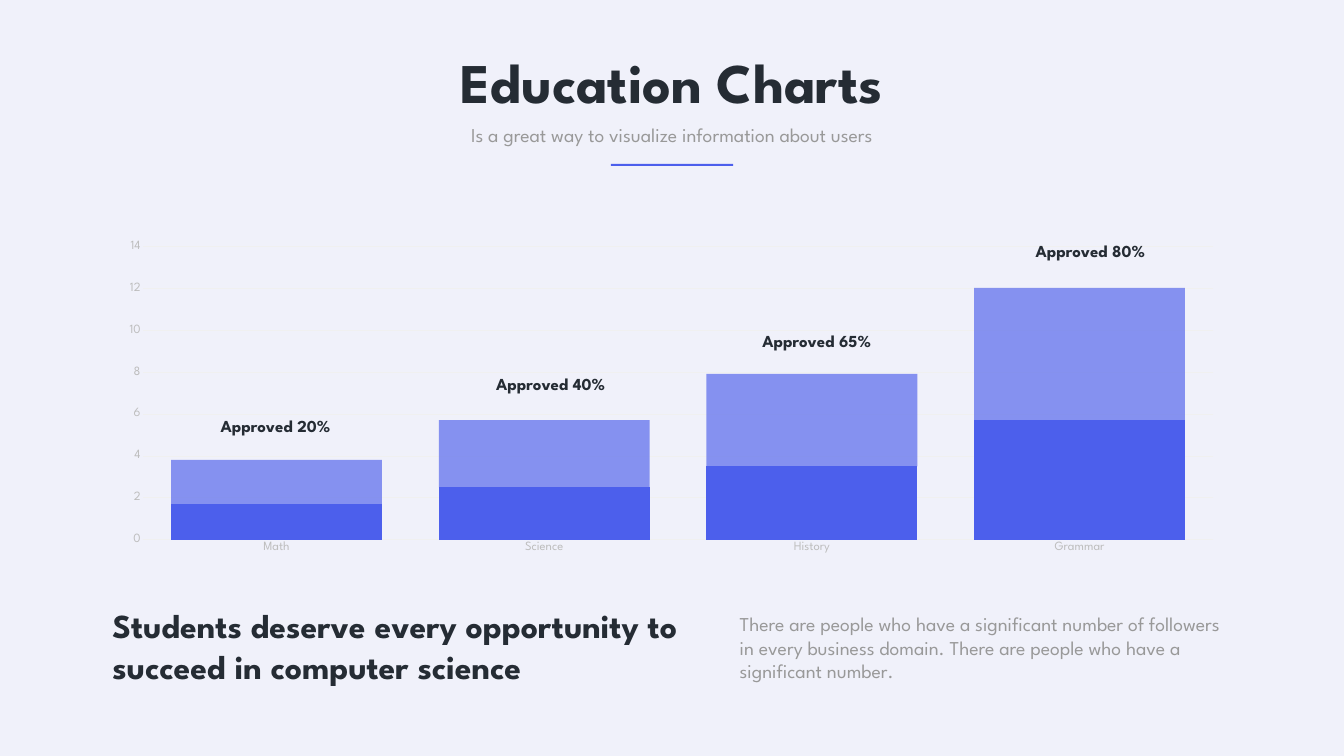
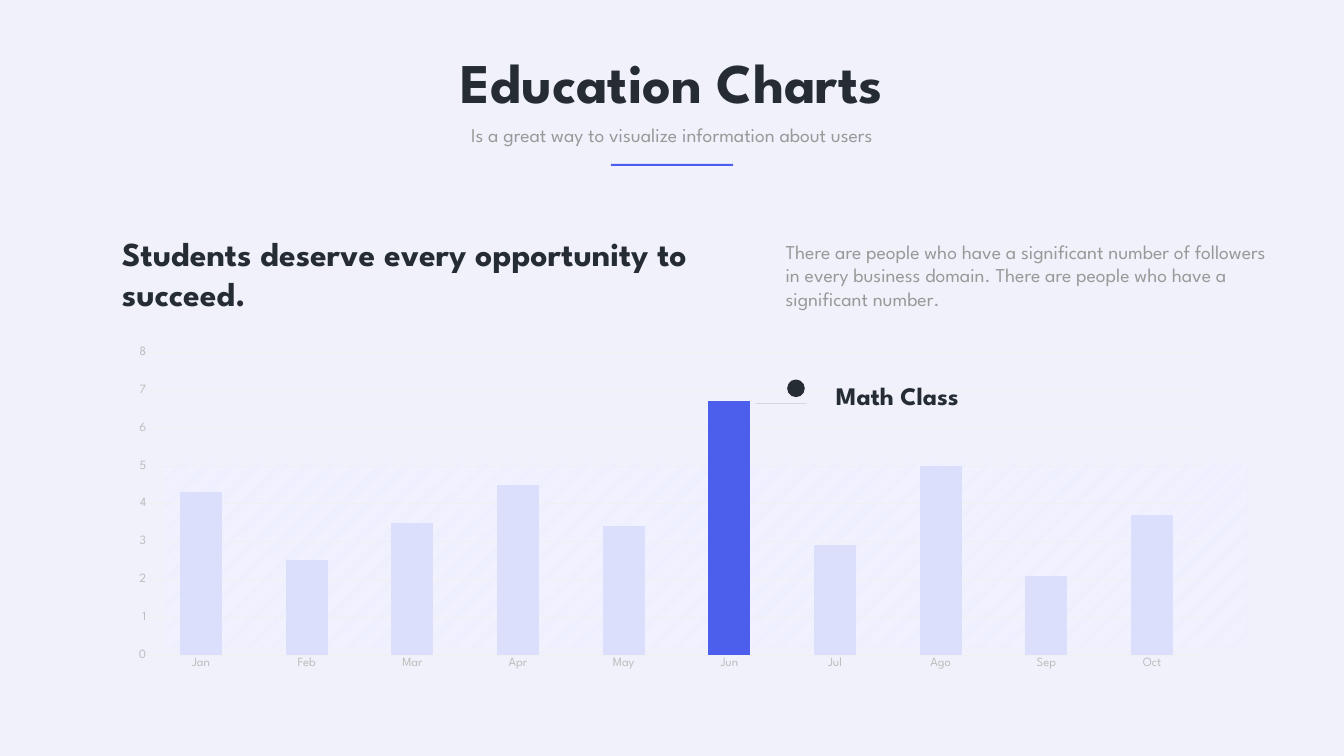
"""Build two education chart slides."""
from lxml import etree
from pptx import Presentation
from pptx import util as u
from pptx.chart import data
from pptx.dml.color import RGBColor
from pptx.enum import chart as kinds, dml, shapes, text
from pptx.oxml import ns

FONT = "League Spartan"
BACK, INK, GREY, PALE = "F0F1FA", "252C34", "999999", "BDBDBD"
BLUE, LIGHT, GRID, STRIPE = "4C5FEC", "DBDFFB", "F0F0F0", "F3F4FF"
BODY = ("There are people who have a significant number of followers in every "
        "business domain. There are people who have a significant number.")


def tint(value):
    return RGBColor.from_string(value)


def curve(a, b, c, d, steps=12):
    for i in range(1, steps + 1):
        t = i / steps
        s = 1 - t
        yield tuple(s**3 * p + 3 * s * s * t * q + 3 * s * t * t * r + t**3 * e
                    for p, q, r, e in zip(a, b, c, d))


class Deck:
    """Hold the shared style and the current slide."""

    def __init__(self):
        self.prs = Presentation()
        self.prs.slide_width = u.Inches(26.67)
        self.prs.slide_height = u.Inches(15)

    def start(self):
        self.slide = self.prs.slides.add_slide(self.prs.slide_layouts[6])
        fill = self.slide.background.fill
        fill.solid()
        fill.fore_color.rgb = tint(BACK)

    def head(self):
        self.label("Education Charts", (6.88, 0.9, 12.91, 1.45), 80, bold=True, mid=True)
        self.label("Is a great way to visualize information about users",
                   (8.55, 2.38, 9.56, 0.57), 28, GREY, mid=True)
        self.shape((12.12, 3.25, 2.43, 0.04), BLUE)

    def label(self, words, at, size, color=INK, bold=False, mid=False):
        frame = self.slide.shapes.add_textbox(*map(u.Inches, at)).text_frame
        frame.word_wrap = True
        para = frame.paragraphs[0]
        para.alignment = text.PP_ALIGN.CENTER if mid else text.PP_ALIGN.LEFT
        run = para.add_run()
        run.text = words
        self.style(run.font, size, color, bold)

    def style(self, font, size, color, bold=False):
        font.name, font.size, font.bold = FONT, u.Pt(size), bold
        font.color.rgb = tint(color)

    def paint(self, item, color):
        item.shadow.inherit = False
        item.fill.solid()
        item.fill.fore_color.rgb = tint(color)
        item.line.fill.background()

    def shape(self, at, color, kind=shapes.MSO_SHAPE.RECTANGLE):
        item = self.slide.shapes.add_shape(kind, *map(u.Inches, at))
        self.paint(item, color)
        return item

    def hatch(self, at):
        fill = self.shape(at, STRIPE).fill
        fill.patterned()
        fill.pattern = dml.MSO_PATTERN.WIDE_UPWARD_DIAGONAL
        fill.fore_color.rgb = tint(LIGHT)
        fill.back_color.rgb = tint(STRIPE)

    def person(self, x, y):
        self.shape((x + 0.13, y, 0.35, 0.35), INK, shapes.MSO_SHAPE.OVAL)
        left, right, low = x, x + 0.6, y + 0.7
        top, edge = y + 0.47, y + 0.56
        points = [(right, low), (right, edge)]
        points += curve((right, edge), (right, y + 0.52), (right - 0.02, y + 0.49),
                        (right - 0.05, top))
        points += curve((right - 0.05, top), (right - 0.2, y + 0.38),
                        (left + 0.2, y + 0.38), (left + 0.05, top))
        points += curve((left + 0.05, top), (left + 0.02, y + 0.49),
                        (left, y + 0.52), (left, edge))
        draw = self.slide.shapes.build_freeform(left, low, scale=u.Inches(1))
        draw.add_line_segments(points)
        self.paint(draw.convert_to_shape(), INK)

    def chart(self, at, plot, names, rows, gap, top, step):
        feed = data.CategoryChartData()
        feed.categories = names
        for i, (vals, _, _) in enumerate(rows, 1):
            feed.add_series(f"Series {i}", vals)
        chart = self.slide.shapes.add_chart(
            kinds.XL_CHART_TYPE.COLUMN_STACKED, *map(u.Inches, at), feed).chart
        chart.has_legend = chart.has_title = False
        self.style(chart.font, 18, GREY)
        bars = chart.plots[0]
        bars.gap_width, bars.overlap, bars.vary_by_categories = gap, 100, False
        for row, (_, color, alpha) in zip(bars.series, rows):
            row.format.fill.solid()
            row.format.fill.fore_color.rgb = tint(color)
            if alpha < 100:
                node = row.format.fill._xPr.find(".//" + ns.qn("a:srgbClr"))
                etree.SubElement(node, ns.qn("a:alpha"), val=str(alpha * 1000))
        for axis in (chart.category_axis, chart.value_axis):
            axis.major_tick_mark = axis.minor_tick_mark = kinds.XL_TICK_MARK.NONE
            self.style(axis.tick_labels.font, 18, PALE)
        scale = chart.value_axis
        scale.minimum_scale, scale.maximum_scale, scale.major_unit = 0, top, step
        scale.format.line.fill.background()
        scale.has_major_gridlines = True
        for line in (chart.category_axis.format.line, scale.major_gridlines.format.line):
            line.color.rgb = tint(GRID)
            line.width = u.Pt(0.75)
        self.place(chart, at, plot)
        return bars

    def place(self, chart, at, plot):
        area = chart._chartSpace.find(".//" + ns.qn("c:plotArea"))
        for old in area.findall(ns.qn("c:layout")):
            area.remove(old)
        frame = etree.Element(ns.qn("c:layout"))
        area.insert(0, frame)
        box = etree.SubElement(frame, ns.qn("c:manualLayout"))
        x, y, w, h = plot
        marks = {"layoutTarget": "inner", "xMode": "edge", "yMode": "edge",
                 "x": (x - at[0]) / at[2], "y": (y - at[1]) / at[3],
                 "w": w / at[2], "h": h / at[3]}
        for key, val in marks.items():
            etree.SubElement(box, ns.qn("c:" + key), val=str(val))


def passed(deck):
    deck.start()
    deck.chart((2.13, 4.64, 22.4, 6.48), (2.83, 4.88, 21.25, 5.83),
               ["Math", "Science", "History", "Grammar"],
               [([1.7, 2.5, 3.5, 5.7], BLUE, 100), ([2.1, 3.2, 4.4, 6.3], BLUE, 65)],
               27, 14, 2)
    for x, y, rate in ((4.13, 8.19, 20), (9.59, 7.37, 40), (14.87, 6.52, 65), (20.3, 4.73, 80)):
        deck.label(f"Approved {rate}%", (x, y, 2.67, 0.5), 24, bold=True, mid=True)
    deck.label("Students deserve every opportunity to succeed in computer science",
               (2.13, 11.96, 12.19, 1.72), 48, bold=True)
    deck.label(BODY, (14.58, 12.1, 9.85, 1.51), 28, GREY)
    deck.head()


def months(deck):
    deck.start()
    deck.hatch((3.25, 9.2, 21.51, 3.65))
    deck.head()
    bars = deck.chart((2.32, 6.77, 22.04, 6.63), (2.94, 6.99, 20.97, 6.01),
                      "Jan Feb Mar Apr May Jun Jul Ago Sep Oct".split(),
                      [([4.3, 2.5, 3.5, 4.5, 3.4, 6.7, 2.9, 5, 2.1, 3.7], LIGHT, 100)],
                      150, 8, 1)
    peak = bars.series[0].points[5].format.fill
    peak.solid()
    peak.fore_color.rgb = tint(BLUE)
    deck.person(15.49, 7.53)
    deck.label("Math Class", (16.49, 7.5, 4.24, 0.71), 36, bold=True)
    deck.label("Students deserve every opportunity to succeed.",
               (2.32, 4.57, 12.19, 1.72), 48, bold=True)
    deck.label(BODY, (15.49, 4.71, 9.85, 1.51), 28, GREY)


def main():
    deck = Deck()
    passed(deck)
    months(deck)
    deck.prs.save("out.pptx")


if __name__ == "__main__":
    main()
